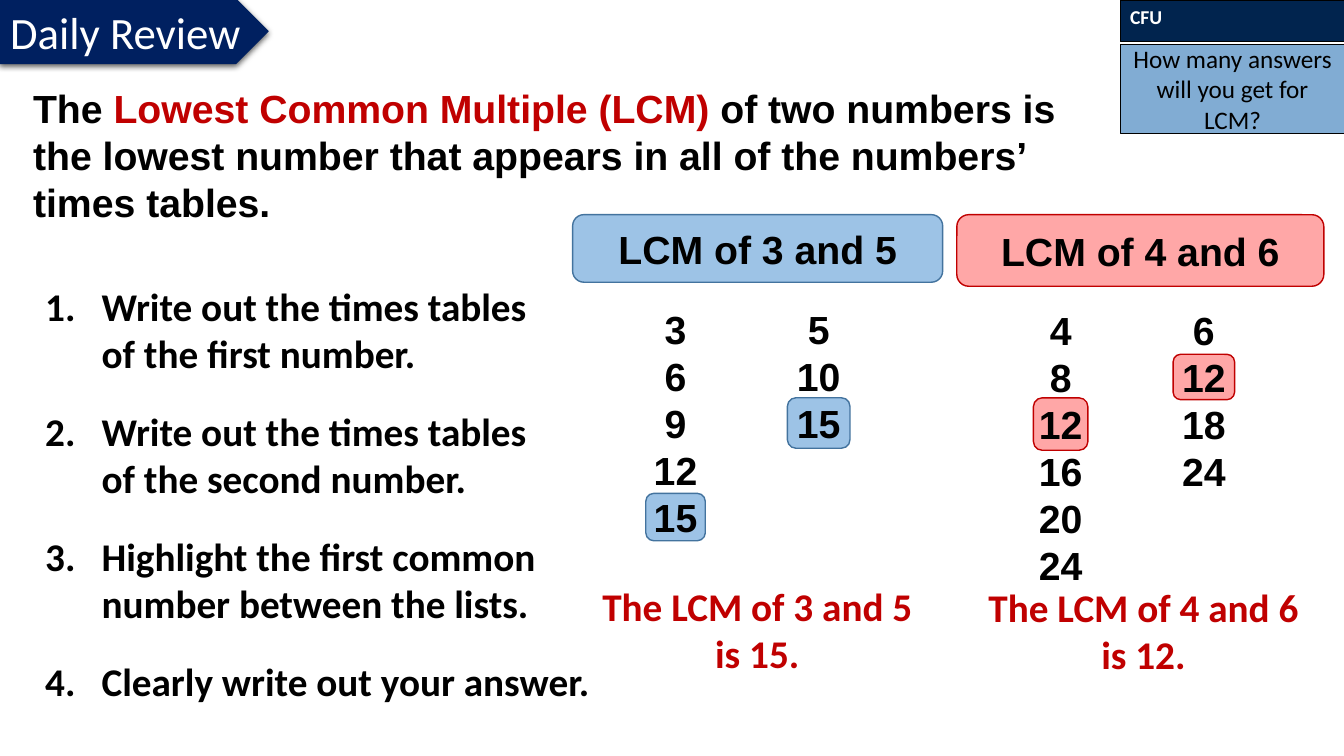
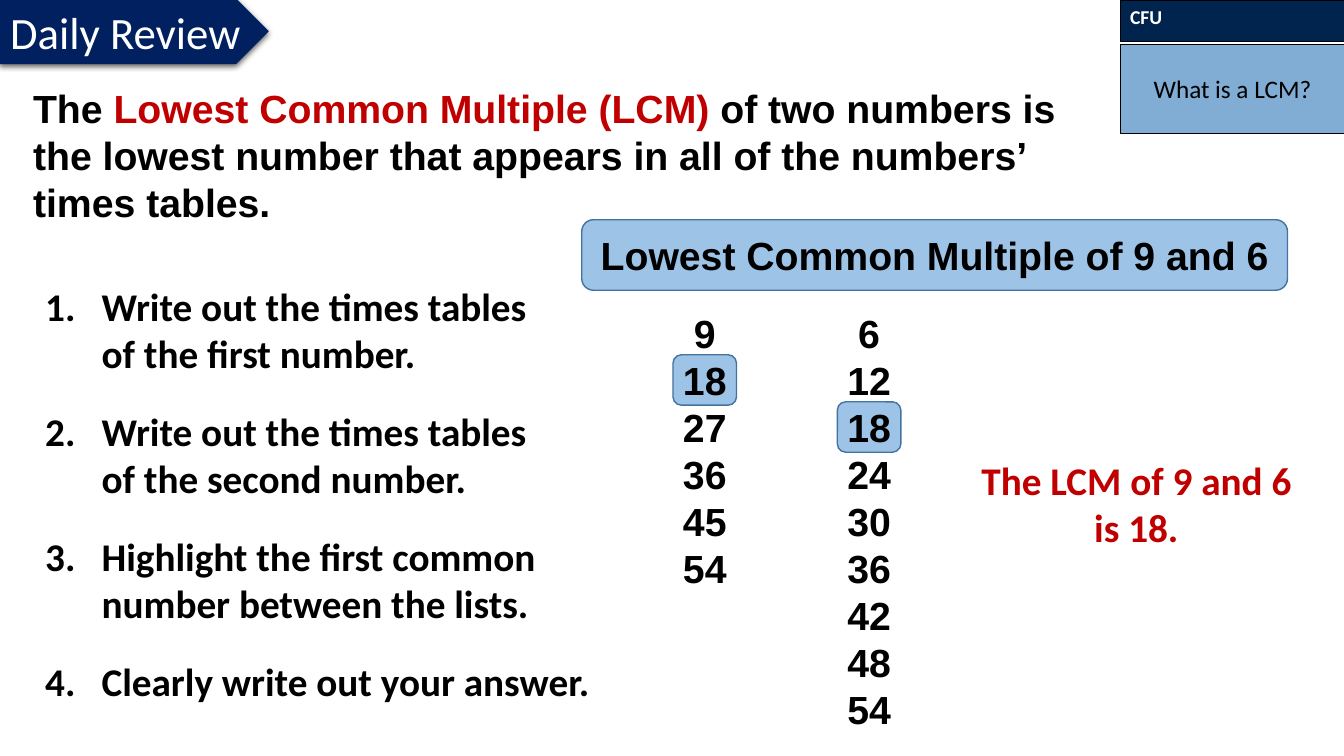
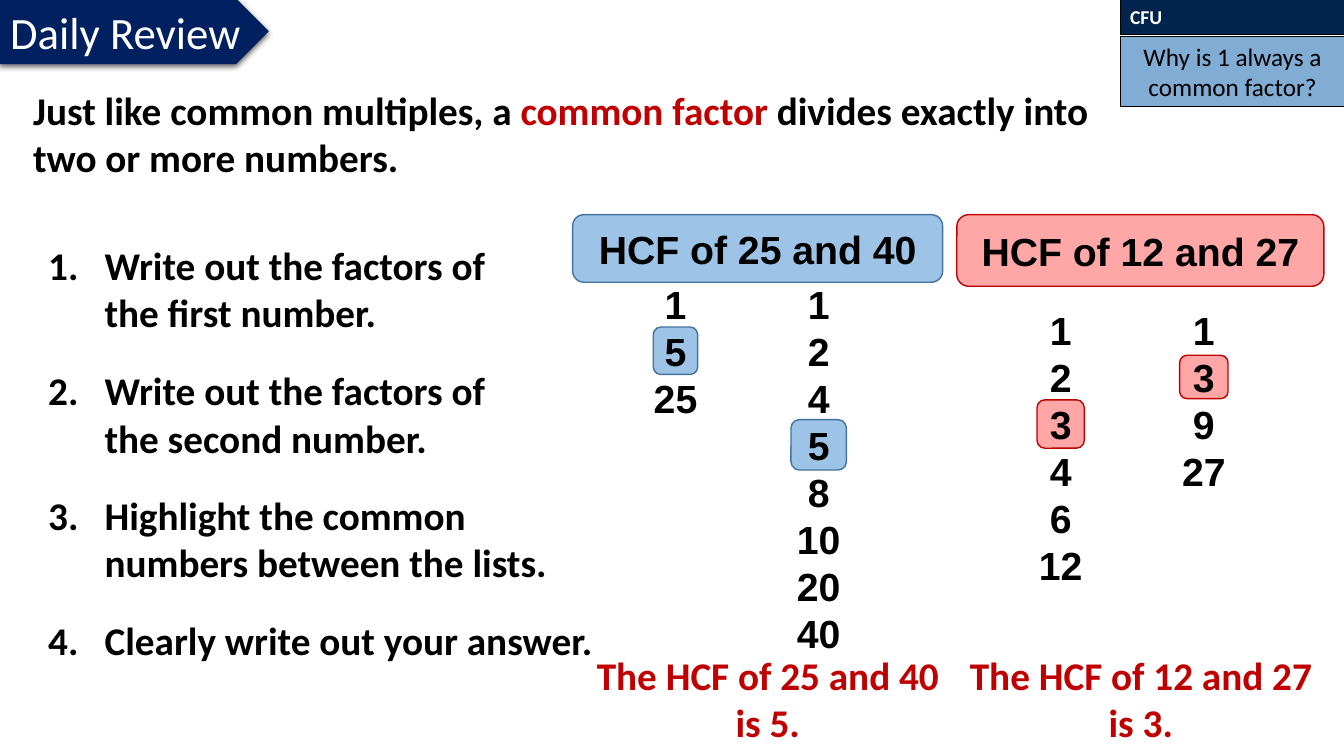
from lxml.etree import SubElement as Sub
from pptx import Presentation
from pptx.dml.color import RGBColor as RGB
from pptx.enum.shapes import MSO_SHAPE as Kind
from pptx.enum.text import MSO_ANCHOR as Anchor, PP_ALIGN as Align
from pptx.oxml.ns import qn
from pptx.util import Emu, Inches, Pt

BLACK = RGB(0x00, 0x00, 0x00)
WHITE = RGB(0xFF, 0xFF, 0xFF)
RED = RGB(0xC0, 0x00, 0x00)
NAVY = RGB(0x00, 0x20, 0x60)
DARK = RGB(0x01, 0x24, 0x4E)
STEEL = RGB(0x2E, 0x75, 0xB6)
BLUE = (RGB(0x9D, 0xC3, 0xE6), RGB(0x43, 0x73, 0x9E))
PINK = (RGB(0xFF, 0xA7, 0xA7), RED)

WIDE, HIGH = 13.33, 7.5
PAD = 0.05
LEAD = 1.2
SIZE = 28
ROW = SIZE * LEAD / 72
COL = 2.04
STEP = 1.24
SPANS = (5, 5.1, 5.33, 5.85)
LEFT, RIGHT = (5.68, 2.13, 3.67, 0.67), (9.49, 2.13, 3.64, 0.71)
COLS = (5.68, 7.1, 9.5, 10.92)
PLATE = (0, -0.01, 2.66, 0.64)

LCM = [("The ", BLACK), ("Lowest Common Multiple (LCM) ", RED),
       ("of two numbers is the lowest number that appears in all of "
        "the numbers’ times tables.", BLACK)]
HCF = [("Just like common multiples, a ", BLACK), ("common factor", RED),
       (" divides exactly into two or more numbers.", BLACK)]
TIMES = ("Write out the times tables of the first number.",
         "Write out the times tables of the second number.",
         "Highlight the first common number between the lists.",
         "Clearly write out your answer.")
FACTS = ("Write out the factors of the first number.",
         "Write out the factors of the second number.",
         "Highlight the common numbers between the lists.",
         "Clearly write out your answer.")


def write(shape, text, size=SIZE, font="Calibri", color=BLACK, bold=True,
          align=Align.LEFT, anchor=Anchor.TOP, side=0.1, start=None):
    frame = shape.text_frame
    frame.word_wrap = True
    frame.vertical_anchor = anchor
    frame.margin_left = frame.margin_right = Inches(side)
    frame.margin_top = frame.margin_bottom = Inches(PAD)
    lines = text if isinstance(text, list) else [[(text, color)]]
    for i, line in enumerate(lines):
        para = frame.add_paragraph() if i else frame.paragraphs[0]
        para.alignment = align
        para.line_spacing = Pt(size * LEAD)
        para.space_before = para.space_after = Pt(0)
        if start:
            props = para._p.get_or_add_pPr()
            props.set("marL", str(Inches(0.56)))
            props.set("indent", str(Inches(-0.56)))
            Sub(props, qn("a:buFont"), typeface="+mj-lt")
            Sub(props, qn("a:buAutoNum"), type="arabicPeriod",
                startAt=str(start))
        for words, tint in line:
            run = para.add_run()
            run.text = words
            run.font.size = Pt(size)
            run.font.name = font
            run.font.bold = bold
            run.font.color.rgb = tint


def place(box):
    return [Inches(n) for n in box]


def label(slide, box, text, **form):
    write(slide.shapes.add_textbox(*place(box)), text, **form)


def panel(slide, kind, box, fill, line, width=0.75):
    shape = slide.shapes.add_shape(kind, *place(box))
    shape.shadow.inherit = False
    shape.fill.solid()
    shape.fill.fore_color.rgb = fill
    shape.line.color.rgb = line
    shape.line.width = Pt(width)
    return shape


def plate(slide):
    shape = panel(slide, Kind.PENTAGON, PLATE, NAVY, NAVY)
    glow = Sub(shape.element.spPr.find(qn("a:effectLst")),
               qn("a:outerShdw"), blurRad=str(Pt(4.5)), dist=str(Pt(1.5)),
               dir="5400000", algn="ctr", rotWithShape="0")
    tone = Sub(glow, qn("a:srgbClr"), val=str(BLACK))
    Sub(tone, qn("a:alpha"), val="63000")
    title = slide.shapes.title
    title.left, title.top, title.width, title.height = place(PLATE)
    title.element.addprevious(shape.element)
    write(title, "Daily Review", size=32, color=WHITE, bold=False,
          anchor=Anchor.MIDDLE)


def check(slide, text, bar, top, tall):
    left, wide = 11.11, 2.23
    head = panel(slide, Kind.RECTANGLE, (left, 0, wide, bar), DARK, BLACK)
    write(head, "CFU", size=14, color=WHITE)
    body = panel(slide, Kind.RECTANGLE, (left, top, wide, tall), STEEL, BLACK)
    tone = body.element.spPr.find(qn("a:solidFill"))[0]
    Sub(tone, qn("a:alpha"), val="60000")
    write(body, text, size=18, bold=False, align=Align.CENTER,
          anchor=Anchor.MIDDLE)


def steps(slide, left, top, items):
    for i, (text, span) in enumerate(zip(items, SPANS)):
        label(slide, (left, top + i * STEP, span, 1.04), text, start=i + 1)


def head(slide, box, text, tint):
    shape = panel(slide, Kind.ROUNDED_RECTANGLE, box, *tint, width=1)
    write(shape, text, font="Arial", align=Align.CENTER,
          anchor=Anchor.MIDDLE, side=0)


def column(slide, left, top, nums, hit, wide, tall, tint):
    mid = top + PAD + ROW * (nums.index(hit) + 0.5)
    box = (left + (COL - wide) / 2, mid - tall / 2, wide, tall)
    panel(slide, Kind.ROUNDED_RECTANGLE, box, *tint, width=1)
    label(slide, (left, top, COL, ROW * len(nums) + 2 * PAD),
          [[(str(n), BLACK)] for n in nums], font="Arial",
          align=Align.CENTER)


def answer(slide, left, top, text, wide=3.58):
    label(slide, (left, top, wide, 1.04), text, color=RED,
          align=Align.CENTER)


def page(deck, intro, font, top, left, first, items, ask,
         bar=0.41, under=0.44, tall=0.88):
    slide = deck.slides.add_slide(deck.slide_layouts[5])
    plate(slide)
    label(slide, (0.23, top, 10.75, 1.51), [intro], font=font)
    steps(slide, left, first, items)
    check(slide, ask, bar, under, tall)
    return slide


def pair(deck):
    slide = page(deck, LCM, "Arial", 0.79, 0.35, 2.75, TIMES,
                 "How many answers will you get for LCM?")
    head(slide, LEFT, "LCM of 3 and 5", BLUE)
    head(slide, RIGHT, "LCM of 4 and 6", PINK)
    column(slide, COLS[0], 2.98, range(3, 16, 3), 15, 0.59, 0.47, BLUE)
    column(slide, COLS[1], 2.98, range(5, 16, 5), 15, 0.62, 0.5, BLUE)
    column(slide, COLS[2], 2.99, range(4, 25, 4), 12, 0.54, 0.52, PINK)
    column(slide, COLS[3], 2.99, range(6, 25, 6), 12, 0.61, 0.45, PINK)
    answer(slide, 5.72, 5.73, "The LCM of 3 and 5 is 15.")
    answer(slide, 9.55, 5.74, "The LCM of 4 and 6 is 12.")


def single(deck):
    slide = page(deck, LCM, "Arial", 0.79, 0.35, 2.75, TIMES,
                 "What is a LCM?")
    head(slide, (5.77, 2.18, 7, 0.7),
         "Lowest Common Multiple of 9 and 6", BLUE)
    column(slide, 5.97, 3.02, range(9, 55, 9), 18, 0.63, 0.5, BLUE)
    column(slide, 7.6, 3.02, range(6, 55, 6), 18, 0.63, 0.5, BLUE)
    answer(slide, 9.48, 4.48, "The LCM of 9 and 6 is 18.")


def factors(deck):
    slide = page(deck, HCF, "Calibri", 0.81, 0.38, 2.35, FACTS,
                 "Why is 1 always a common factor?", 0.34, 0.36, 0.7)
    head(slide, LEFT, "HCF of 25 and 40", BLUE)
    head(slide, RIGHT, "HCF of 12 and 27", PINK)
    column(slide, COLS[0], 2.73, (1, 5, 25), 5, 0.44, 0.47, BLUE)
    column(slide, COLS[1], 2.73, (1, 2, 4, 5, 8, 10, 20, 40), 5,
           0.55, 0.5, BLUE)
    column(slide, COLS[2], 2.99, (1, 2, 3, 4, 6, 12), 3, 0.47, 0.48, PINK)
    column(slide, COLS[3], 2.99, (1, 3, 9, 27), 3, 0.48, 0.43, PINK)
    answer(slide, 5.75, 6.41, "The HCF of 25 and 40 is 5.", 3.73)
    answer(slide, 9.5, 6.41, "The HCF of 12 and 27 is 3.", 3.63)


def main():
    deck = Presentation()
    deck.slide_width, deck.slide_height = Inches(WIDE), Inches(HIGH)
    pair(deck)
    single(deck)
    factors(deck)
    deck.save("out.pptx")


if __name__ == "__main__":
    main()
